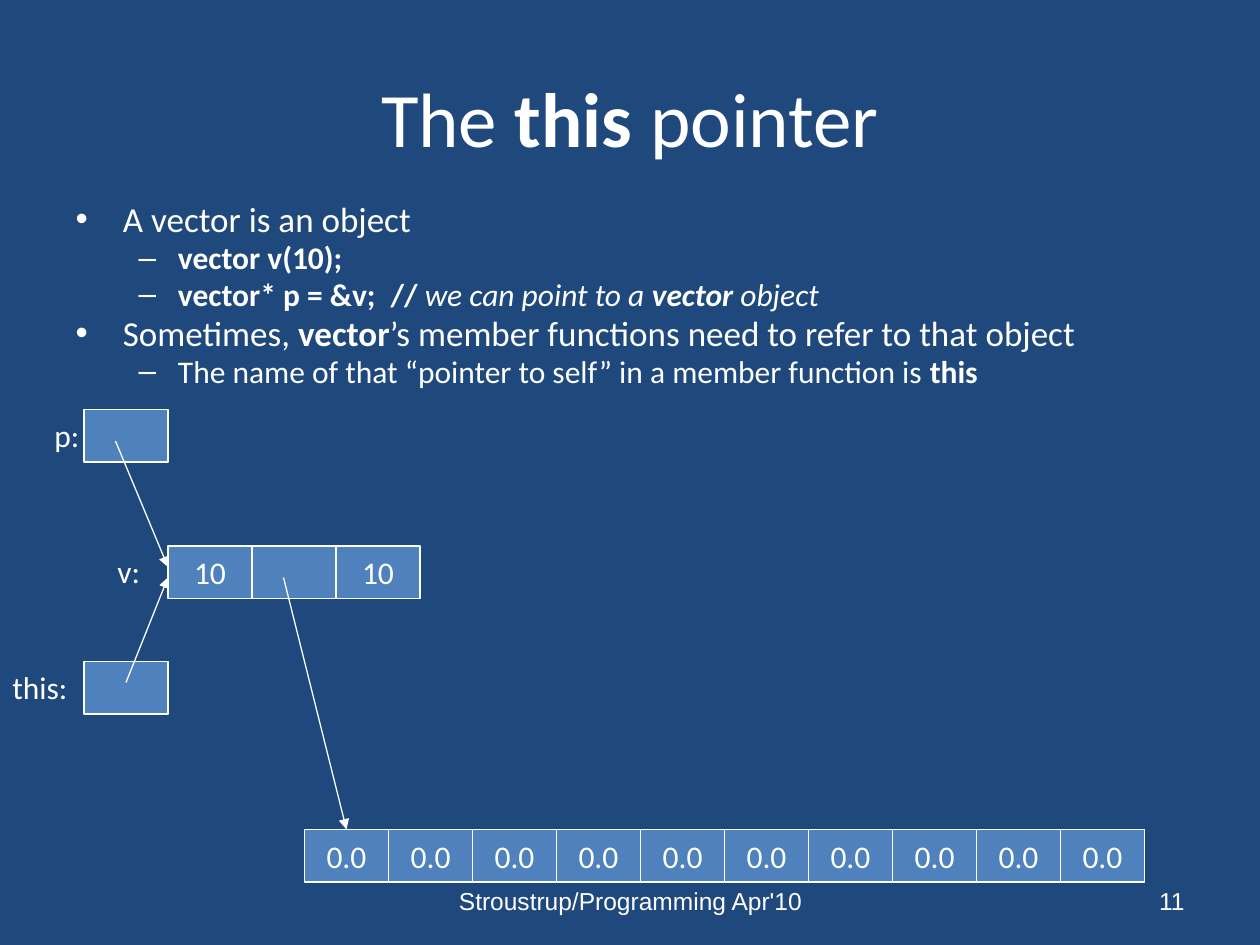
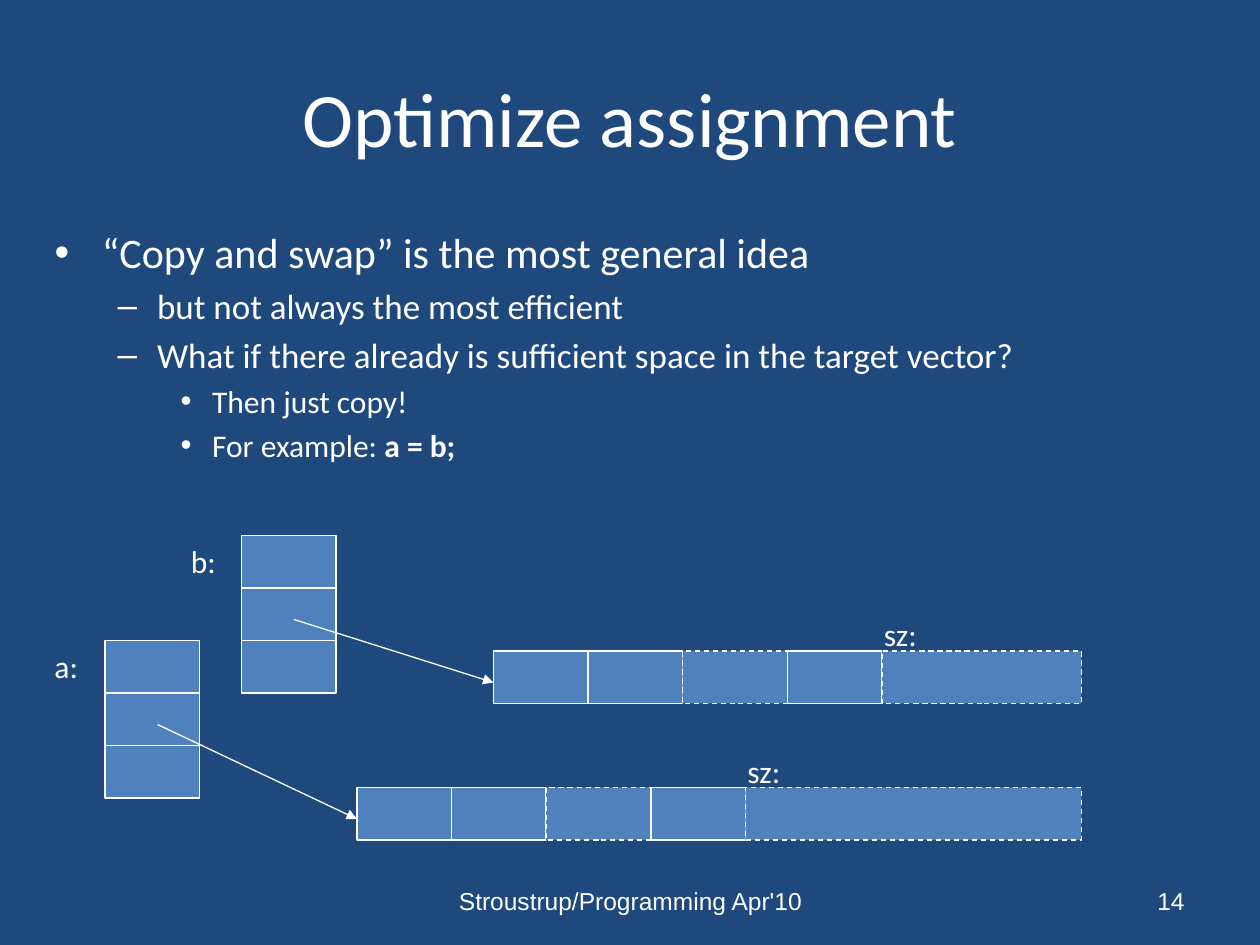
from dataclasses import dataclass
import lxml.etree
import pptx
import pptx.dml.color
import pptx.enum.dml
import pptx.enum.shapes
import pptx.enum.text
import pptx.oxml.ns
import pptx.util

Inches = pptx.util.Inches
RGBColor = pptx.dml.color.RGBColor
Align = pptx.enum.text.PP_ALIGN
Anchor = pptx.enum.text.MSO_ANCHOR

# Shared look
NAVY = RGBColor(0x1F, 0x49, 0x7D)
BLUE = RGBColor(0x4F, 0x81, 0xBD)
WHITE = RGBColor(0xFF, 0xFF, 0xFF)
THIN = pptx.util.Pt(0.75)
FOOTER = "Stroustrup/Programming Apr'10"
STYLES = {
    "": {},
    "b": {"bold": True},
    "i": {"italic": True},
    "bi": {"bold": True, "italic": True},
}
Run = tuple[str, str]


@dataclass
class Line:
    """One paragraph of the list: level and styled runs."""
    level: int
    runs: list[Run]


@dataclass
class Strip:
    """Touching cells, in twelfths of an inch."""
    left: int
    top: int
    sizes: list[int]
    texts: tuple[str, ...] = ()
    dashed: tuple[int, ...] = ()
    down: bool = False


@dataclass
class Arrow:
    x1: int
    y1: int
    x2: int
    y2: int


@dataclass
class Label:
    text: str
    left: int
    top: int
    width: int


@dataclass
class Page:
    title: list[Run]
    number: str
    body: tuple[int, int, int, int]
    sizes: list[int]
    spacing: float
    lines: list[Line]
    strips: list[Strip]
    arrows: list[Arrow]
    labels: list[Label]


CELL = 5   # cell height in twelfths


def grid(count: int) -> int:
    """Length of a number of twelfths of an inch."""
    return Inches(count / 12)


def write(para, runs: list[Run], size: int, face: str = "Calibri") -> None:
    for text, style in runs:
        run = para.add_run()
        run.text = text
        look = {"name": face, "size": pptx.util.Pt(size), **STYLES[style]}
        for key, value in look.items():
            setattr(run.font, key, value)
        run.font.color.rgb = WHITE


def place(shape, left: int, top: int, width: int, height: int) -> None:
    box = {"left": left, "top": top, "width": width, "height": height}
    for key, value in box.items():
        setattr(shape, key, value)


def add_note(slide, box: tuple[int, ...], text: str, size: int = 18,
             face: str = "Calibri", align=Align.LEFT, anchor=Anchor.TOP) -> None:
    frame = slide.shapes.add_textbox(*box).text_frame
    frame.word_wrap = True
    frame.vertical_anchor = anchor
    para = frame.paragraphs[0]
    para.alignment = align
    write(para, [(text, "")], size, face)


def add_strip(slide, strip: Strip) -> None:
    left, top = strip.left, strip.top
    for index, size in enumerate(strip.sizes):
        cell = slide.shapes.add_shape(
            pptx.enum.shapes.MSO_SHAPE.RECTANGLE,
            grid(left), grid(top), grid(size), grid(CELL))
        cell.shadow.inherit = False
        cell.fill.solid()
        cell.fill.fore_color.rgb = BLUE
        cell.line.color.rgb = WHITE
        cell.line.width = THIN
        if index in strip.dashed:
            cell.line.dash_style = pptx.enum.dml.MSO_LINE.DASH
        if strip.texts and strip.texts[index]:
            frame = cell.text_frame
            frame.word_wrap = False
            frame.vertical_anchor = Anchor.MIDDLE
            frame.paragraphs[0].alignment = Align.CENTER
            write(frame.paragraphs[0], [(strip.texts[index], "")], 18)
        if strip.down:
            top += CELL
        else:
            left += size


def add_arrow(slide, arrow: Arrow) -> None:
    link = slide.shapes.add_connector(
        pptx.enum.shapes.MSO_CONNECTOR.STRAIGHT,
        grid(arrow.x1), grid(arrow.y1), grid(arrow.x2), grid(arrow.y2))
    link.line.color.rgb = WHITE
    link.line.width = THIN
    qn = pptx.oxml.ns.qn
    props = link.element.find(qn("p:spPr"))
    lxml.etree.SubElement(props.find(qn("a:ln")), qn("a:tailEnd"), type="triangle")
    lxml.etree.SubElement(props, qn("a:effectLst"))


def add_page(deck, page: Page) -> None:
    slide = deck.slides.add_slide(deck.slide_layouts[1])

    # Title and list
    title, body = slide.shapes.title, slide.placeholders[1]
    place(title, Inches(0.5), Inches(0.3), Inches(9), Inches(1.25))
    write(title.text_frame.paragraphs[0], page.title, 44)
    place(body, *map(grid, page.body))
    frame = body.text_frame
    frame.auto_size = pptx.enum.text.MSO_AUTO_SIZE.NONE
    for index, line in enumerate(page.lines):
        para = frame.add_paragraph() if index else frame.paragraphs[0]
        para.level = line.level
        para.line_spacing = page.spacing
        write(para, line.runs, page.sizes[line.level])

    # Diagram
    for strip in page.strips:
        add_strip(slide, strip)
    for arrow in page.arrows:
        add_arrow(slide, arrow)
    for label in page.labels:
        add_note(slide, (grid(label.left), grid(label.top),
                         grid(label.width), Inches(0.4)), label.text)

    # Footer and number
    for left, width, text, align in ((3.42, 3.17, FOOTER, Align.CENTER),
                                     (7.17, 2.33, page.number, Align.RIGHT)):
        box = (Inches(left), Inches(6.95), Inches(width), Inches(0.4))
        add_note(slide, box, text, 14, "Arial", align, Anchor.MIDDLE)


POINTER = Page(
    title=[("The ", ""), ("this", "b"), (" pointer", "")],
    number="11", body=(6, 19, 108, 21), sizes=[20, 18], spacing=0.8,
    lines=[
        Line(0, [("A vector is an object", "")]),
        Line(1, [("vector v(10);", "b")]),
        Line(1, [("vector* p = &v;\t// ", "b"), ("we can point to a ", "i"),
                 ("vector", "bi"), (" object", "i")]),
        Line(0, [("Sometimes, ", ""), ("vector", "b"),
                 ("’s member functions need to refer to that object", "")]),
        Line(1, [("The name of that “pointer to self” in a member function is ", ""),
                 ("this", "b")]),
    ],
    strips=[
        Strip(29, 79, [8] * 10, ("0.0",) * 10),
        Strip(16, 52, [8] * 3, ("10", "", "10")),
        Strip(8, 63, [8]),
        Strip(8, 39, [8]),
    ],
    arrows=[Arrow(27, 55, 33, 79), Arrow(12, 65, 16, 55), Arrow(11, 42, 16, 54)],
    labels=[Label("v:", 10, 52, 6), Label("this:", 0, 63, 8), Label("p:", 4, 39, 8)],
)

ASSIGN = Page(
    title=[("Optimize assignment", "")],
    number="14", body=(4, 21, 116, 65), sizes=[24, 20, 18], spacing=1.0,
    lines=[
        Line(0, [("“Copy and swap” is the most general idea", "")]),
        Line(1, [("but not always the most efficient", "")]),
        Line(1, [("What if there already is sufficient space in the target vector?", "")]),
        Line(2, [("Then just copy!", "")]),
        Line(2, [("For example: ", ""), ("a = b;", "b")]),
    ],
    strips=[
        Strip(10, 61, [9] * 3, down=True),
        Strip(34, 75, [9, 9, 10, 9, 32], dashed=(2, 4)),
        Strip(23, 51, [9] * 3, down=True),
        Strip(47, 62, [9, 9, 10, 9, 19], dashed=(2, 4)),
    ],
    arrows=[Arrow(15, 69, 34, 78), Arrow(28, 59, 47, 65)],
    labels=[Label("sz:", 70, 71, 11), Label("sz:", 83, 58, 13),
            Label("b:", 17, 51, 9), Label("a:", 4, 61, 9)],
)


def main() -> None:
    deck = pptx.Presentation()
    deck.slide_width, deck.slide_height = Inches(10), Inches(7.5)
    back = deck.slide_master.background.fill
    back.solid()
    back.fore_color.rgb = NAVY
    for page in (POINTER, ASSIGN):
        add_page(deck, page)
    deck.save("out.pptx")


if __name__ == "__main__":
    main()
